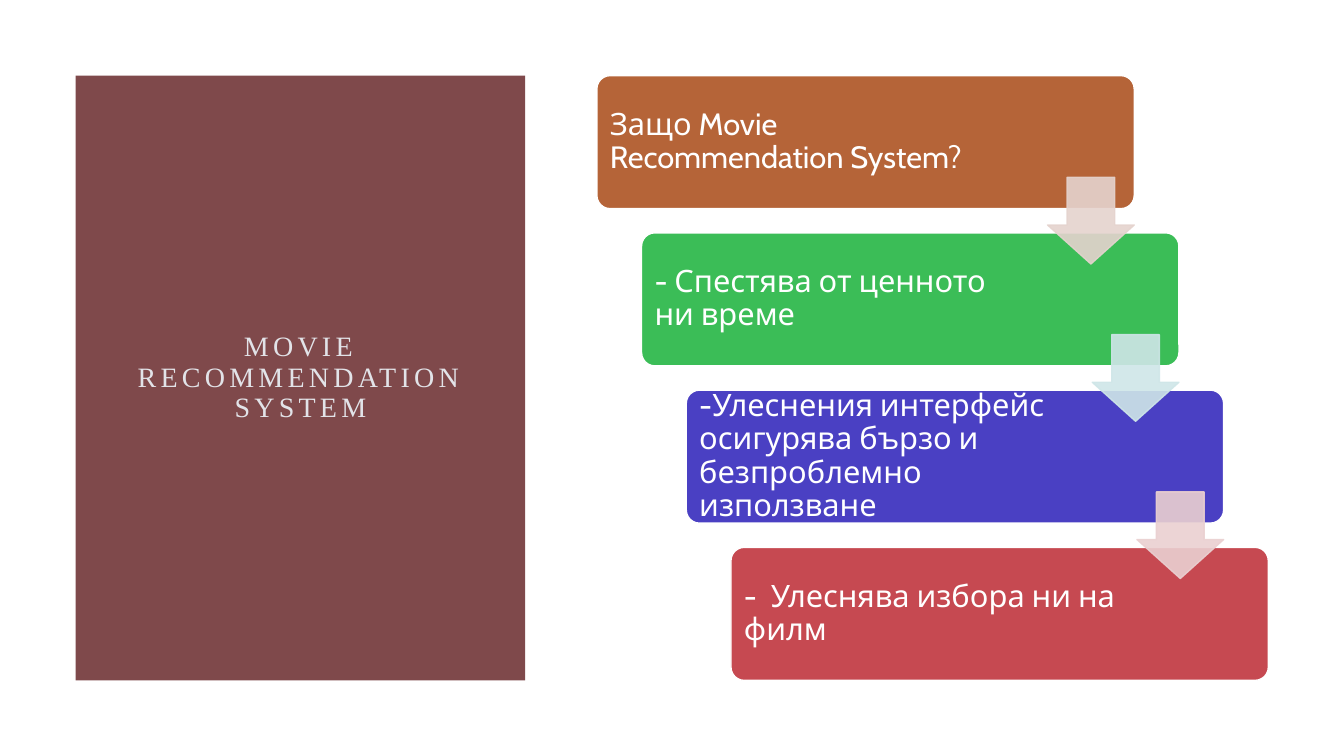
from lxml.etree import SubElement
from pptx import Presentation
from pptx.dml.color import RGBColor
from pptx.enum.shapes import MSO_SHAPE
from pptx.enum.text import MSO_ANCHOR, MSO_AUTO_SIZE, PP_ALIGN
from pptx.oxml.ns import qn
from pptx.util import Inches, Pt

COLORS = {
    "panel": "7F494B", "title": "E2E3E8", "white": "FFFFFF",
    "orange": "B56438", "green": "3BBD57", "blue": "4A40C3", "red": "C64951",
    "sand": "E5D3CE", "mist": "CFE6E8", "rose": "EAD0D1",
}
STEPS = [
    ("Защо Movie Recommendation System?", "orange", "sand"),
    ("- Спестява от ценното ни време", "green", "mist"),
    ("-Улеснения интерфейс осигурява бързо и безпроблемно използване", "blue", "rose"),
    ("-  Улеснява избора ни на филм", "red", None),
]


def write_text(shape, text, font, size, color, align=PP_ALIGN.LEFT,
               tracking=0, margins=(0.1, 0.05, 0.1, 0.05)):
    frame = shape.text_frame
    frame.word_wrap = True
    frame.auto_size = MSO_AUTO_SIZE.NONE
    frame.vertical_anchor = MSO_ANCHOR.MIDDLE
    (frame.margin_left, frame.margin_top,
     frame.margin_right, frame.margin_bottom) = map(Inches, margins)
    para = frame.paragraphs[0]
    para.alignment = align
    para.line_spacing = 0.9
    para.space_before = Pt(0)
    span = para.add_run()
    span.text = text
    span.font.name = font
    span.font.size = Pt(size)
    span.font.color.rgb = RGBColor.from_string(COLORS[color])
    if tracking:
        span.font._element.set("spc", str(tracking * 100))


def add_block(page, kind, box, fill, line=None, adjustments=(), opacity=100):
    shape = page.shapes.add_shape(kind, *map(Inches, box))
    shape.shadow.inherit = False
    for index, value in enumerate(adjustments):
        shape.adjustments[index] = value
    shape.fill.solid()
    shape.fill.fore_color.rgb = RGBColor.from_string(COLORS[fill])
    if line:
        shape.line.color.rgb = RGBColor.from_string(COLORS[line])
        shape.line.width = Pt(1)
    else:
        shape.line.fill.background()
    if opacity < 100:
        for color in shape._element.spPr.iter(qn("a:srgbClr")):
            SubElement(color, qn("a:alpha")).set("val", str(opacity * 1000))
    return shape


def build_title_panel(page, box):
    left, top, width, height = box
    panel = add_block(page, MSO_SHAPE.RECTANGLE, box, "panel")
    title = page.shapes.title
    title._element.addprevious(panel._element)
    title.left, title.top = Inches(left + 0.49), Inches(top + 0.75)
    title.width, title.height = Inches(width - 0.98), Inches(height - 1.5)
    write_text(title, "MOVIE RECOMMENDATION SYSTEM", "Times New Roman", 20,
               "title", align=PP_ALIGN.CENTER, tracking=3)


def build_staircase(page, box):
    left, top, width, height = box
    step_width, step_height, arrow_size = 5.33, 1.32, 0.86
    shift = (width - step_width) / (len(STEPS) - 1)
    drop = (height - step_height) / (len(STEPS) - 1)
    for index, (text, fill, _) in enumerate(STEPS):
        step = add_block(page, MSO_SHAPE.ROUNDED_RECTANGLE,
                         (left + index * shift, top + index * drop, step_width, step_height),
                         fill, line="white", adjustments=[0.1])
        write_text(step, text, "Cabin", 22, "white", margins=(0.09, 0.09, 1.43, 0.09))
    for index, (_, _, tint) in enumerate(STEPS[:-1]):
        add_block(page, MSO_SHAPE.DOWN_ARROW,
                  (left + index * shift + step_width - arrow_size,
                   top + index * drop + 1.01, arrow_size, arrow_size),
                  tint, line=tint, adjustments=[0.55, 0.45], opacity=90)


deck = Presentation()
deck.slide_width, deck.slide_height = Inches(13.33), Inches(7.5)
page = deck.slides.add_slide(deck.slide_layouts[5])
build_title_panel(page, (0.75, 0.75, 4.46, 6))
build_staircase(page, (5.92, 0.75, 6.66, 6))
deck.save("out.pptx")
